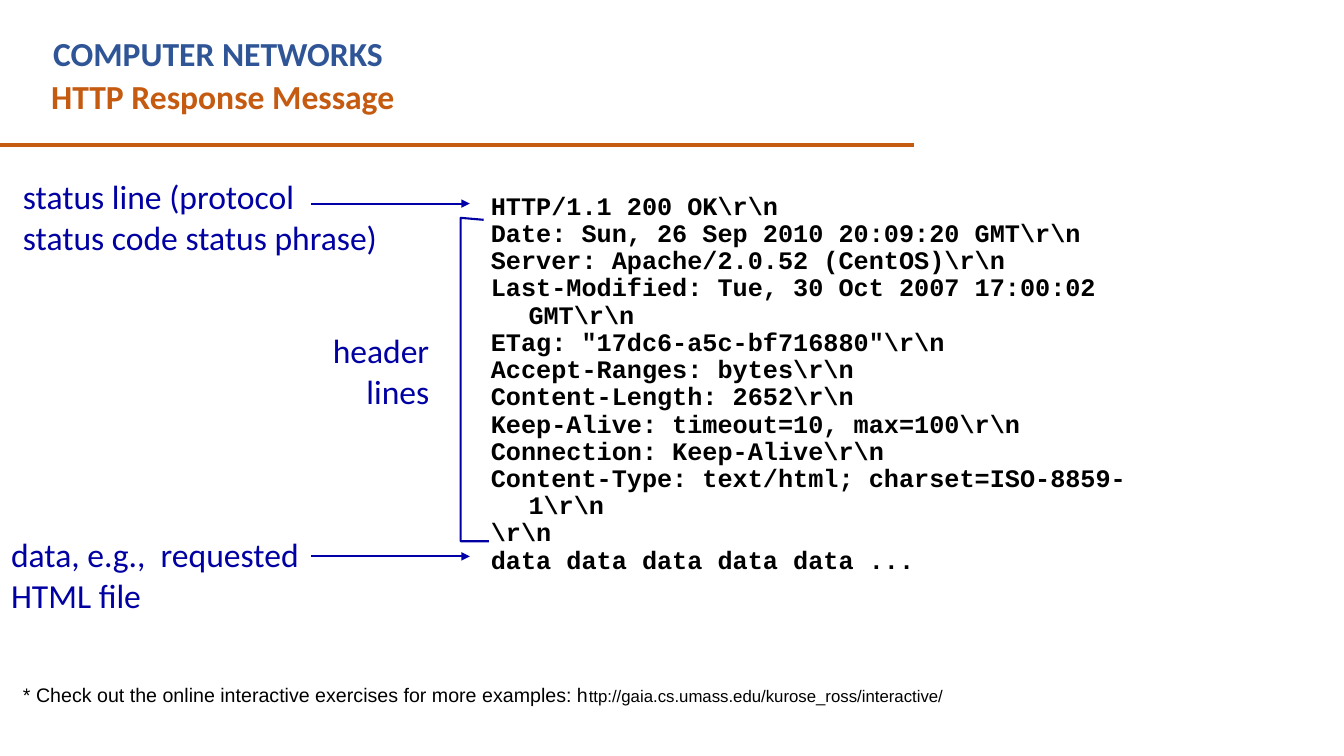
from dataclasses import dataclass

from lxml.etree import SubElement
from pptx import Presentation
from pptx.dml.color import RGBColor
from pptx.enum.shapes import MSO_CONNECTOR
from pptx.enum.text import MSO_AUTO_SIZE, PP_ALIGN
from pptx.oxml.ns import qn
from pptx.slide import Slide
from pptx.util import Cm, Pt

COLORS = {
    "heading": "2F5597",
    "accent": "C55A11",
    "label": "0000A3",
    "arrow": "0000A8",
    "text": "000000",
}


@dataclass
class Label:
    box: tuple[float, float, float, float]
    lines: list[str]
    align: PP_ALIGN = PP_ALIGN.LEFT
    wrap: bool = True


@dataclass
class Line:
    start: float
    end: float
    height: float
    color: str
    width: float
    arrow: bool = False


RESPONSE = r"""HTTP/1.1 200 OK\r\n
Date: Sun, 26 Sep 2010 20:09:20 GMT\r\n
Server: Apache/2.0.52 (CentOS)\r\n
Last-Modified: Tue, 30 Oct 2007 17:00:02 GMT\r\n
ETag: "17dc6-a5c-bf716880"\r\n
Accept-Ranges: bytes\r\n
Content-Length: 2652\r\n
Keep-Alive: timeout=10, max=100\r\n
Connection: Keep-Alive\r\n
Content-Type: text/html; charset=ISO-8859-1\r\n
\r\n
data data data data data ...""".splitlines()

LABELS = [
    Label((0.33, 4.32, 11.28, 2.31), ["status line (protocol", "status code status phrase)"]),
    Label((8.1, 8.2, 2.97, 2.31), ["header", "lines"], PP_ALIGN.RIGHT, False),
    Label((0.03, 13.34, 10.01, 2.31), ["data, e.g.,  requested", "HTML file"]),
]

LINES = [
    Line(0, 23.04, 3.66, "accent", 3),
    Line(7.85, 11.84, 5.13, "arrow", 1.5, True),
    Line(7.85, 11.84, 14.02, "arrow", 1.5, True),
]

BRACKET = [(12.19, 5.54), (11.61, 5.49), (11.61, 13.64), (12.32, 13.64)]


def rgb(name: str) -> RGBColor:
    return RGBColor.from_string(COLORS[name])


def add_text(
    slide: Slide,
    box: tuple[float, float, float, float],
    lines: list[str],
    *,
    size: float = 24,
    font: str = "Calibri",
    color: str = "label",
    bold: bool = False,
    align: PP_ALIGN = PP_ALIGN.LEFT,
    wrap: bool = True,
    hanging: float = 0,
    spacing: float = 1.0,
    small_ending: str = "",
) -> None:
    frame = slide.shapes.add_textbox(*map(Cm, box)).text_frame
    frame.word_wrap = wrap
    frame.auto_size = MSO_AUTO_SIZE.SHAPE_TO_FIT_TEXT
    for index, line in enumerate(lines):
        paragraph = frame.paragraphs[0] if index == 0 else frame.add_paragraph()
        paragraph.alignment = align
        paragraph.line_spacing = spacing
        if hanging:
            properties = paragraph._p.get_or_add_pPr()
            properties.set("marL", str(Cm(hanging)))
            properties.set("indent", str(-Cm(hanging)))
        paragraph.font.size = Pt(size)
        for text, run_size in ((line, size), (small_ending, 12)):
            if text:
                run = paragraph.add_run()
                run.text = text
                run.font.name = font
                run.font.size = Pt(run_size)
                run.font.bold = bold
                run.font.color.rgb = rgb(color)


def add_line(slide: Slide, line: Line) -> None:
    connector = slide.shapes.add_connector(
        MSO_CONNECTOR.STRAIGHT,
        Cm(line.start), Cm(line.height), Cm(line.end), Cm(line.height),
    )
    connector.line.color.rgb = rgb(line.color)
    connector.line.width = Pt(line.width)
    if line.arrow:
        SubElement(connector.line._get_or_add_ln(), qn("a:tailEnd"), type="triangle")
    SubElement(connector._element.spPr, qn("a:effectLst"))


def add_bracket(slide: Slide, points: list[tuple[float, float]]) -> None:
    first, *rest = [(Cm(x), Cm(y)) for x, y in points]
    builder = slide.shapes.build_freeform(*first)
    builder.add_line_segments(rest, close=False)
    shape = builder.convert_to_shape()
    shape.shadow.inherit = False
    shape.fill.background()
    shape.line.color.rgb = rgb("label")
    shape.line.width = Pt(1.5)


def main() -> None:
    presentation = Presentation()
    presentation.slide_width = Cm(33.87)
    presentation.slide_height = Cm(19.05)
    slide = presentation.slides.add_slide(presentation.slide_layouts[6])

    # Headings
    add_text(slide, (1.09, 0.71, 20.83, 1.27), ["COMPUTER NETWORKS"],
             color="heading", bold=True)
    add_text(slide, (1.04, 1.8, 22.23, 1.27), ["HTTP Response Message"],
             color="accent", bold=True)

    # Labels and the header bracket
    for label in LABELS:
        add_text(slide, label.box, label.lines, align=label.align, wrap=label.wrap)
    add_bracket(slide, BRACKET)

    # Response message
    add_text(slide, (12.12, 4.75, 17.53, 9.88), RESPONSE, size=18, font="Courier New",
             color="text", bold=True, hanging=0.95, spacing=0.9)

    # Heading rule and arrows
    for line in LINES:
        add_line(slide, line)

    # Footnote
    add_text(slide, (0.33, 17.09, 26.44, 0.86),
             ["* Check out the online interactive exercises for more examples: h"],
             size=14, font="Arial", color="text",
             small_ending="ttp://gaia.cs.umass.edu/kurose_ross/interactive/")

    presentation.save("out.pptx")


if __name__ == "__main__":
    main()
